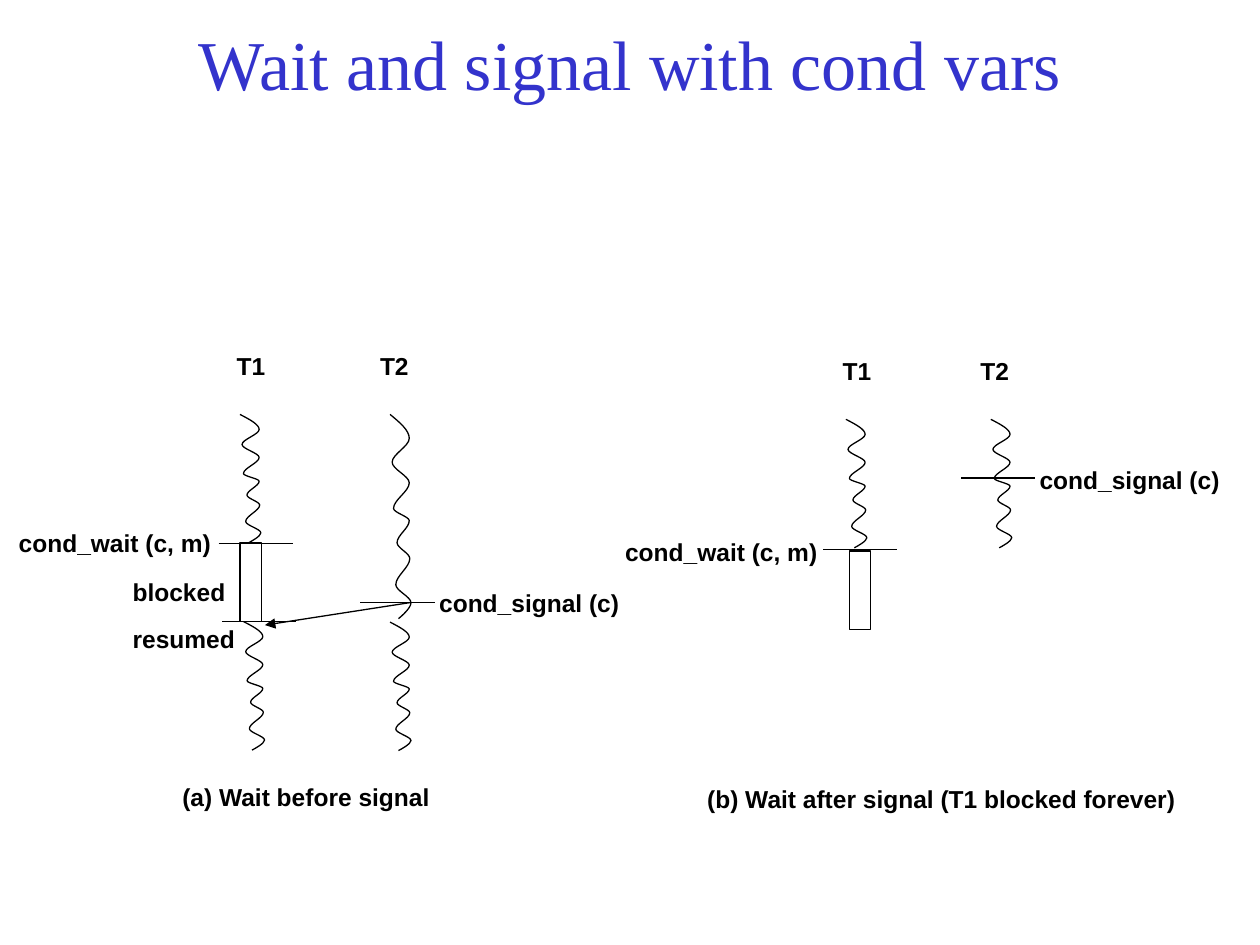
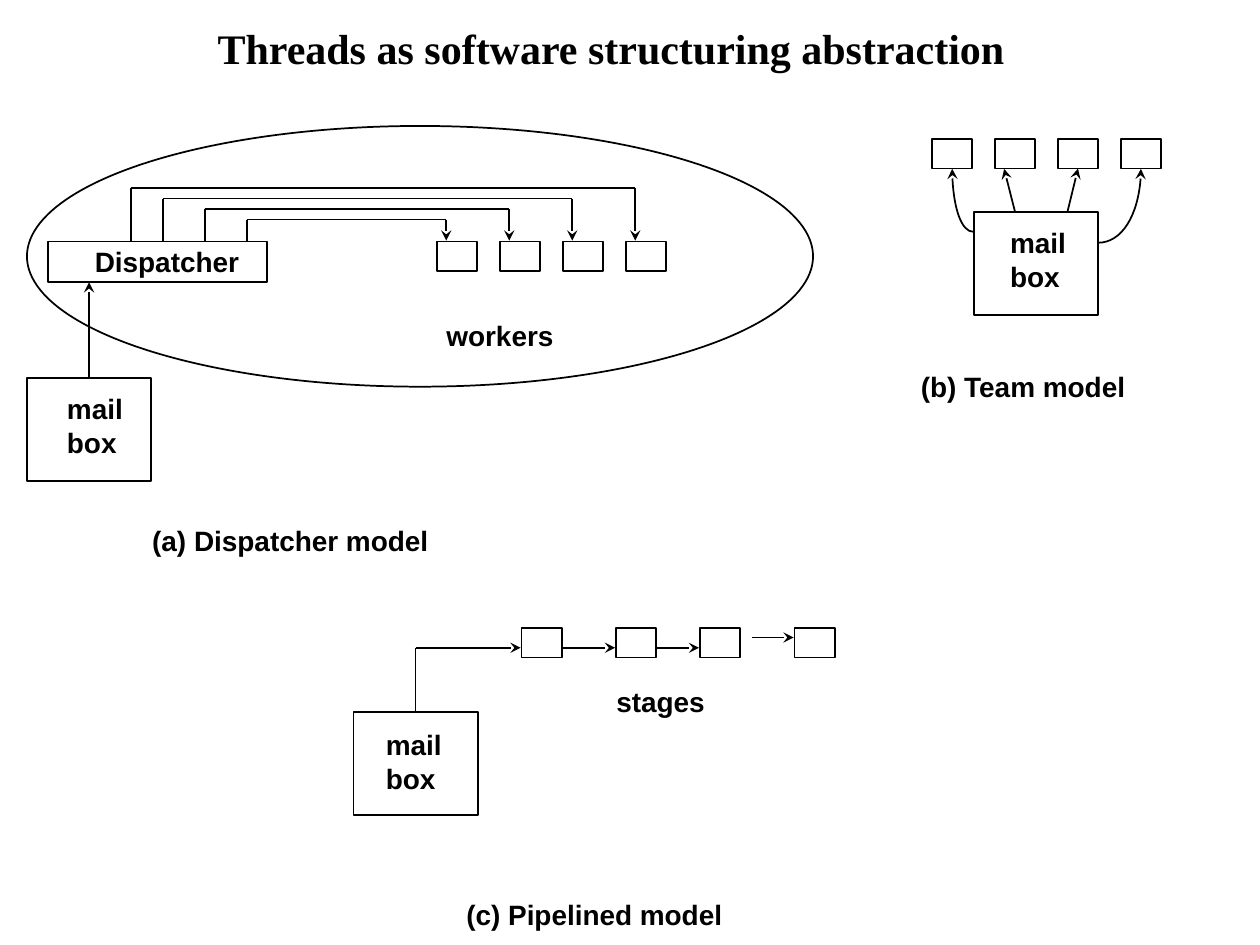
from pptx import Presentation
from pptx.dml.color import RGBColor
from pptx.enum.shapes import MSO_CONNECTOR, MSO_SHAPE
from pptx.enum.text import MSO_ANCHOR, MSO_AUTO_SIZE, PP_ALIGN
from pptx.oxml.ns import qn
from pptx.util import Pt
from lxml.etree import SubElement

INK = {"black": "000000", "blue": "3333CC"}
LABEL = {"name": "Arial", "bold": True}

# Slide 1: title and timelines of the two cases
WAIT = {
    "title": "Wait and signal with cond vars",
    "labels": [  # text, left, top, width
        ("T1", 128.2, 197.3, 42), ("T2", 210.1, 197.3, 50),
        ("cond_wait (c, m)", 3.6, 298.2, 132),
        ("cond_signal (c)", 243.9, 332.3, 125),
        ("blocked", 68.7, 326.3, 75), ("resumed", 68.7, 352.9, 81),
        ("(a) Wait before signal", 97.1, 443.2, 164),
        ("T1", 474.4, 199.9, 42), ("T2", 553.2, 199.9, 50),
        ("cond_wait (c, m)", 350.1, 303.2, 132),
        ("cond_signal (c)", 587, 262.2, 125),
        ("(b) Wait after signal (T1 blocked forever)", 397, 444.2, 290),
    ],
    "waves": [  # left, top, stretch
        (137.1, 236.8, 1), (222.9, 236.8, 1.59), (139.2, 355.2, 1),
        (222.9, 355.5, 1), (483.4, 239.6, 1), (566.2, 239.6, 1),
    ],
    "ticks": [(125, 310.4), (206, 344.3), (126.9, 355.3),
              (470.3, 314.1), (549.2, 273.2)],
    "blocks": [(137.1, 310.4, 12.2, 44.8), (485.4, 314.9, 12.2, 45)],
    "wake": (234.7, 344.3, 151.4, 357.2),
}
TICK = 42.4
# Turning points of one running thread
WAVE = [(0, 0), (11, 8.6), (1.2, 17.2), (11, 24.6), (2, 33.8),
        (11, 38.2), (4, 46.1), (11.3, 51.8), (3.3, 61.2),
        (12, 67.7), (4.8, 73.4)]
LEAD, TRAIL = (5.6, 2.9), (6.3, 72.7)

# Slide 2: title and the three thread models
MODEL = {
    "title": "Threads as software structuring abstraction",
    "labels": [
        ("Dispatcher", 47.1, 136.1, 102), ("workers", 248, 178.6, 85),
        ("(a) Dispatcher model", 79.9, 295.6, 185),
        ("(b) Team model", 519.2, 207.4, 141),
        ("stages", 345.1, 387.4, 74),
        ("(c) Pipelined model", 259.4, 509.4, 169),
        ("mail\nbox", 31.2, 220.3, 55), ("mail\nbox", 570.2, 125.5, 47),
        ("mail\nbox", 213.4, 412.2, 47),
    ],
    "mail": [(15.4, 216), (556.5, 121), (202, 406.8)],
    "stems": [75, 93, 117, 141],
    "stages": [298, 352, 400, 454],
    "curves": [
        [(556.2, 132.5), (549.4, 132.5), (544.1, 116.6), (544.1, 96.5)],
        [(627.5, 138.7), (641.2, 138.7), (652, 120.2), (652, 96.5)],
    ],
}
GAP, CELL, MAIL = 36, (23, 17), (71, 59)


def paint(line, width):
    line.color.rgb = RGBColor.from_string(INK["black"])
    line.width = Pt(width)


def tip(item, kind):
    if kind:
        SubElement(item.element.spPr.find(qn("a:ln")), qn("a:tailEnd"), type=kind)


def style(para, form, ink="black"):
    for key, val in form.items():
        setattr(para.font, key, val)
    para.font.color.rgb = RGBColor.from_string(INK[ink])


def label(slide, text, x, y, wide, size):
    high = size * 1.2 * (text.count("\n") + 1) + 7.2
    frame = slide.shapes.add_textbox(Pt(x), Pt(y), Pt(wide), Pt(high)).text_frame
    frame.word_wrap = True
    frame.text = text
    for para in frame.paragraphs:
        style(para, {**LABEL, "size": Pt(size)})


def shape(slide, kind, x, y, wide, high, width):
    item = slide.shapes.add_shape(kind, Pt(x), Pt(y), Pt(wide), Pt(high))
    item.shadow.inherit = False
    item.fill.background()
    paint(item.line, width)
    return item


def box(slide, x, y, wide, high, width=1):
    return shape(slide, MSO_SHAPE.RECTANGLE, x, y, wide, high, width)


def line(slide, x, y, end, low, width=1, kind=None):
    item = slide.shapes.add_connector(
        MSO_CONNECTOR.STRAIGHT, Pt(x), Pt(y), Pt(end), Pt(low))
    paint(item.line, width)
    SubElement(item.element.spPr, qn("a:effectLst"))
    tip(item, kind)
    return item


def curve(slide, dots, width, kind=None):
    """Cubic curve: a start, then two controls and an end for each bend."""
    dots = [(Pt(x), Pt(y)) for x, y in dots]
    pen = slide.shapes.build_freeform(*dots[0])
    pen.add_line_segments(dots[1:], close=False)
    item = pen.convert_to_shape()
    # Join each three line steps into one bend
    track = next(item.element.iter(qn("a:path")))
    steps = track.findall(qn("a:lnTo"))
    for n in range(0, len(steps), 3):
        arc = SubElement(track, qn("a:cubicBezTo"))
        for step in steps[n:n + 3]:
            arc.append(step[0])
            track.remove(step)
    item.shadow.inherit = False
    item.fill.background()
    paint(item.line, width)
    tip(item, kind)


def wave(slide, x, y, grow):
    dots = [WAVE[0]]
    for a, d in zip(WAVE, WAVE[1:]):
        third = (d[1] - a[1]) / 3
        dots += [(a[0], a[1] + third), (d[0], d[1] - third), d]
    dots[1], dots[-2] = LEAD, TRAIL
    curve(slide, [(x + p, y + q * grow) for p, q in dots], 0.75)


def start(deck, data, place, size, ink, bold, align, anchor, note):
    """Slide with its title and labels."""
    slide = deck.slides.add_slide(deck.slide_layouts[5])
    head = slide.shapes.title
    for key, val in zip(("left", "top", "width", "height"), place):
        setattr(head, key, Pt(val))
    frame = head.text_frame
    frame.text = data["title"]
    form = {"word_wrap": True, "auto_size": MSO_AUTO_SIZE.NONE,
            "vertical_anchor": anchor}
    for key, val in form.items():
        setattr(frame, key, val)
    para = frame.paragraphs[0]
    para.alignment = align
    style(para, {"name": "Times New Roman", "size": Pt(size), "bold": bold}, ink)
    for row in data["labels"]:
        label(slide, *row, note)
    return slide


def signals(deck):
    slide = start(deck, WAIT, (54, 11.9, 612, 48), 40, "blue", False,
                  PP_ALIGN.CENTER, MSO_ANCHOR.MIDDLE, 14)
    for row in WAIT["waves"]:
        wave(slide, *row)
    for x, y in WAIT["ticks"]:
        line(slide, x, y, x + TICK, y, 0.75)
    for row in WAIT["blocks"]:
        box(slide, *row, 0.75)
    line(slide, *WAIT["wake"], 0.75, "triangle")


def models(deck):
    slide = start(deck, MODEL, (117.1, 9.4, 468, 36), 24, "black", True,
                  PP_ALIGN.LEFT, MSO_ANCHOR.TOP, 16)
    mail = [box(slide, x, y, *MAIL) for x, y in MODEL["mail"]]

    # Dispatcher: nested routes to the workers
    shape(slide, MSO_SHAPE.OVAL, 15.4, 72, 449.2, 149, 1)
    box(slide, 27.4, 138, 125.2, 23.2)
    for n, x in enumerate(MODEL["stems"]):
        box(slide, 249.8 + GAP * n, 138, *CELL)
        y, end = 107.5 + 6 * n, 363 - GAP * n
        line(slide, x, y, x, 137.5)
        line(slide, x, y, end, y)
        line(slide, end, y, end, 137.5, kind="stealth")
    line(slide, 50.9, 216, 50.9, 161.3, kind="stealth").begin_connect(mail[0], 0)

    # Team: members take from one mail box
    team = [box(slide, 532.5 + GAP * n, 79.3, *CELL) for n in range(4)]
    for dots in MODEL["curves"]:
        curve(slide, dots, 1, "stealth")
    line(slide, 580, 121, 573.8, 96.5, kind="stealth")
    line(slide, 610, 121, 616, 96.5, kind="stealth").end_connect(team[2], 2)

    # Pipeline: mail box feeds a row of stages
    row = MODEL["stages"]
    for x in row:
        box(slide, x, 358.8, *CELL)
    line(slide, 237.5, 406.8, 237.5, 370.2).begin_connect(mail[2], 0)
    line(slide, 237.5, 370.2, row[0] - 0.5, 370.2, kind="stealth")
    for x, end in zip(row[:2], row[1:]):
        line(slide, x + CELL[0] + 0.5, 370.2, end - 0.5, 370.2, kind="stealth")
    line(slide, 429.6, 364.3, row[3] - 0.5, 364.3, kind="stealth")


def main():
    deck = Presentation()
    deck.slide_width, deck.slide_height = Pt(720), Pt(540)
    signals(deck)
    models(deck)
    deck.save("out.pptx")


if __name__ == "__main__":
    main()
